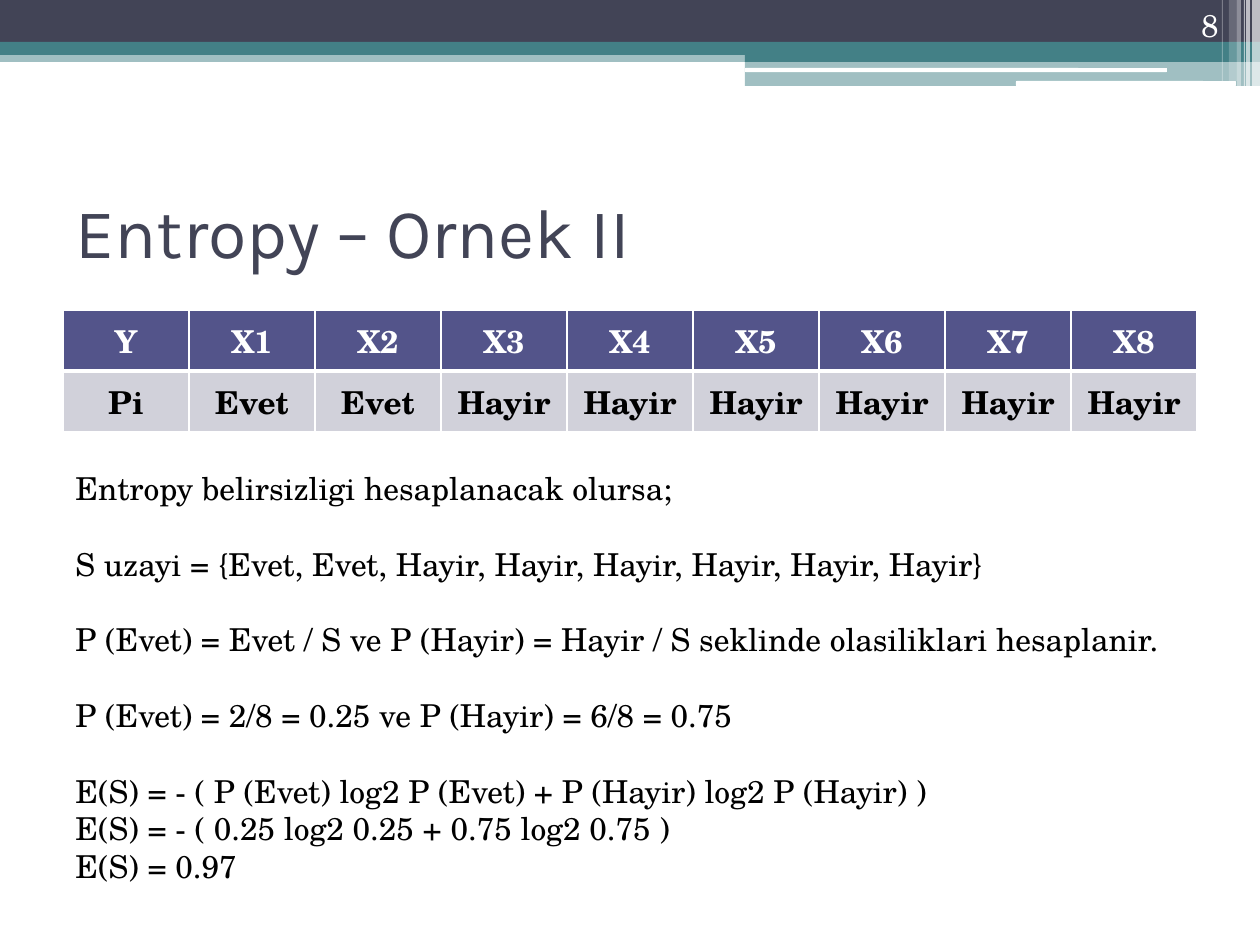
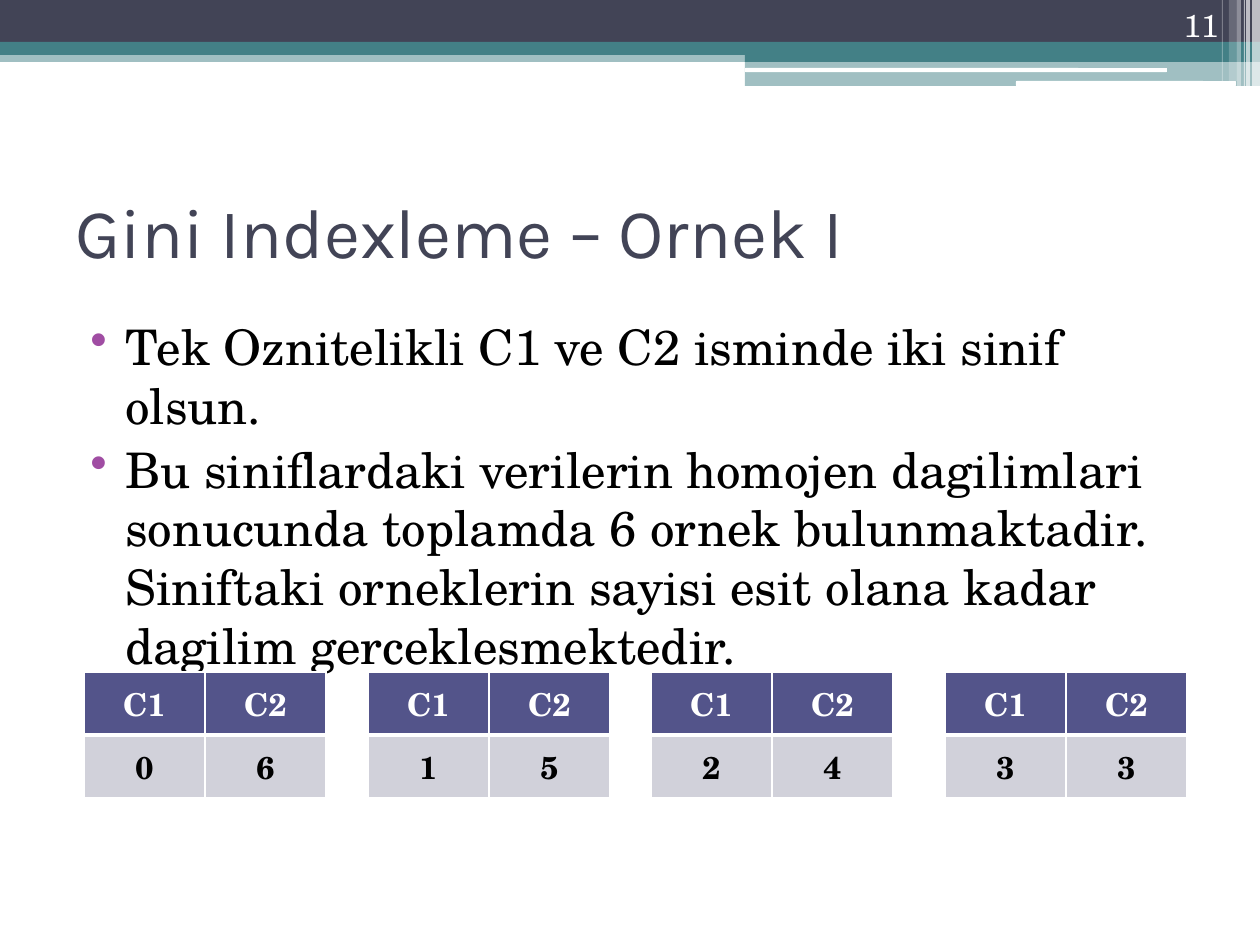
"""Builds two lecture slides on entropy and Gini indexing."""
from dataclasses import dataclass

from lxml import etree
from pptx import Presentation
from pptx import util as u
from pptx.dml.color import RGBColor
from pptx.enum import shapes, text
from pptx.oxml import ns

DPI = 126
GEO = shapes.MSO_SHAPE
MID, LOW, TOP = (text.MSO_ANCHOR.MIDDLE, text.MSO_ANCHOR.BOTTOM,
                 text.MSO_ANCHOR.TOP)
LEFT, MEAN, RIGHT = text.PP_ALIGN.LEFT, text.PP_ALIGN.CENTER, text.PP_ALIGN.RIGHT


@dataclass(frozen=True)
class Theme:
    """Colours, fonts and type sizes."""
    dark: str = "424456"
    teal: str = "438086"
    white: str = "FFFFFF"
    black: str = "000000"
    head: str = "53548A"
    cell: str = "D1D1DA"
    dot: str = "A04DA3"
    sans: str = "Karla"
    serif: str = "TeX Gyre Schola"
    title: int = 40
    body: int = 28
    small: int = 18
    gap: float = 21.6
    thin: int = 1
    thick: int = 3


def px(n):
    """Turn px into EMU."""
    return u.Emu(round(n * u.Inches(1) / DPI))


def sub(node, tag, **attrs):
    """Append a DrawingML element and return it."""
    return etree.SubElement(node, ns.qn(tag), attrs)


class Deck:
    """Holds the style and the current slide."""

    def __init__(self, theme):
        self.th = theme
        self.prs = Presentation()
        self.prs.slide_width, self.prs.slide_height = px(1260), px(945)
        self.slide = None

    def page(self, title, num):
        """Start a slide with bands, title and number."""
        th = self.th
        self.slide = self.prs.slides.add_slide(self.prs.slide_layouts[6])
        self.bands()
        self.label((63, 157, 1134, 148), title, th.sans, th.title, th.dark, MID)
        self.label((1126, 0, 105, 50), str(num), th.serif, th.small, th.white,
                   LOW, RIGHT)

    def bands(self):
        """Draw the top bands and the stripes at their right end."""
        th = self.th
        for box, tint, alpha in (
                ((0, 50, 1260, 12), th.teal, 50),
                ((0, 0, 1260, 43), th.dark, 100),
                ((0, 42, 1260, 13), th.teal, 100),
                ((745, 49, 515, 13), th.teal, 100),
                ((745, 61, 515, 25), th.teal, 50)):
            self.block(box, tint, alpha)
        for box in ((745, 68, 422, 4), (1016, 81, 220, 5)):
            self.block(box, th.white, geo=GEO.ROUNDED_RECTANGLE)
        for x, w, h, alpha in ((1252, 8, 86, 65), (1246, 4, 86, 65),
                               (1244, 1, 86, 60), (1237, 4, 86, 40),
                               (1229, 8, 81, 20), (1222, 1, 81, 30)):
            self.block((x, 0, w, h), th.white, alpha)

    def block(self, box, tint, alpha=100, geo=GEO.RECTANGLE):
        """Draw a filled shape without outline."""
        shape = self.slide.shapes.add_shape(geo, *map(px, box))
        shape.shadow.inherit = False
        shape.line.fill.background()
        shape.fill.solid()
        shape.fill.fore_color.rgb = RGBColor.from_string(tint)
        if alpha < 100:
            clr = next(shape.element.spPr.iter(ns.qn("a:srgbClr")))
            sub(clr, "a:alpha", val=str(alpha * 1000))

    def frame(self, box, anchor=TOP):
        """Add a wrapping text box and return its text frame."""
        area = self.slide.shapes.add_textbox(*map(px, box)).text_frame
        area.word_wrap = True
        area.vertical_anchor = anchor
        return area

    def run(self, para, words, font, size, tint, bold=False):
        """Add one styled run."""
        run = para.add_run()
        run.text = words
        run.font.name, run.font.size, run.font.bold = font, u.Pt(size), bold
        run.font.color.rgb = RGBColor.from_string(tint)

    def label(self, box, words, font, size, tint, anchor, align=LEFT):
        """Add a one-line text."""
        para = self.frame(box, anchor).paragraphs[0]
        para.alignment = align
        self.run(para, words, font, size, tint)

    def lines(self, box, groups):
        """Add groups of lines, set apart by one line of space."""
        th, area = self.th, self.frame(box)
        para = area.paragraphs[0]
        for g, group in enumerate(groups):
            for n, words in enumerate(group):
                if g or n:
                    para = area.add_paragraph()
                    para.space_before = u.Pt(0 if n else th.gap)
                self.run(para, words, th.serif, th.small, th.black)

    def list(self, box, items):
        """Add a bulleted list."""
        th, area = self.th, self.frame(box)
        for n, words in enumerate(items):
            para = area.add_paragraph() if n else area.paragraphs[0]
            para.space_before = u.Pt(3)
            self.run(para, words, th.serif, th.body, th.black)
            prop = para._p.get_or_add_pPr()
            prop.set("marL", str(px(50)))
            prop.set("indent", str(px(-35)))
            sub(sub(prop, "a:buClr"), "a:srgbClr", val=th.dot)
            sub(prop, "a:buChar", char="•")

    def table(self, left, top, wide, high, rows):
        """Add a table with a header row and equal cells."""
        th, cols = self.th, len(rows[0])
        grid = self.slide.shapes.add_table(
            len(rows), cols, px(left), px(top), px(wide * cols),
            px(high * len(rows))).table
        grid.horz_banding = False
        for r, row in enumerate(rows):
            for c, words in enumerate(row):
                cell = grid.cell(r, c)
                cell.vertical_anchor = MID
                cell.margin_left = cell.margin_right = px(6)
                cell.fill.solid()
                cell.fill.fore_color.rgb = RGBColor.from_string(
                    th.cell if r else th.head)
                para = cell.text_frame.paragraphs[0]
                para.alignment = MEAN
                self.run(para, words, th.serif, th.small,
                         th.black if r else th.white, True)
                self.edges(cell, th.thick if r else th.thin,
                           th.thin if r else th.thick)

    def edges(self, cell, top, base):
        """Draw the borders of a cell."""
        prop = cell._tc.get_or_add_tcPr()
        thin = self.th.thin
        for n, (side, size) in enumerate(zip("LRTB", (thin, thin, top, base))):
            line = sub(prop, "a:ln" + side, w=str(u.Pt(size)))
            sub(sub(line, "a:solidFill"), "a:srgbClr", val=self.th.white)
            prop.insert(n, line)


def main():
    """Build both slides and save them."""
    deck = Deck(Theme())

    deck.page("Entropy – Ornek II", 8)
    votes = ["Evet"] * 2 + ["Hayir"] * 6
    names = [f"X{n}" for n in range(1, len(votes) + 1)]
    deck.table(63, 310, 126, 61, (["Y"] + names, ["Pi"] + votes))
    deck.lines((63, 463, 1144, 432), (
        ["Entropy belirsizligi hesaplanacak olursa;"],
        ["S uzayi = {" + ", ".join(votes) + "}"],
        ["P (Evet) = Evet / S ve P (Hayir) = Hayir / S seklinde "
         "olasiliklari hesaplanir."],
        ["P (Evet) = 2/8 = 0.25 ve P (Hayir) = 6/8 = 0.75"],
        ["E(S) = - ( P (Evet) log2 P (Evet) + P (Hayir) log2 P (Hayir) )",
         "E(S) = - ( 0.25 log2 0.25 + 0.75 log2 0.75 )",
         "E(S) = 0.97"]))

    deck.page("Gini Indexleme – Ornek I", 11)
    deck.list((63, 310, 1134, 596), (
        "Tek Oznitelikli C1 ve C2 isminde iki sinif olsun.",
        "Bu siniflardaki verilerin homojen dagilimlari sonucunda toplamda "
        "6 ornek bulunmaktadir. Siniftaki orneklerin sayisi esit olana kadar "
        "dagilim gerceklesmektedir."))
    for n, left in enumerate((84, 368, 651, 945)):
        deck.table(left, 672, 121, 63, (("C1", "C2"), (str(n), str(6 - n))))

    deck.prs.save("out.pptx")


if __name__ == "__main__":
    main()
